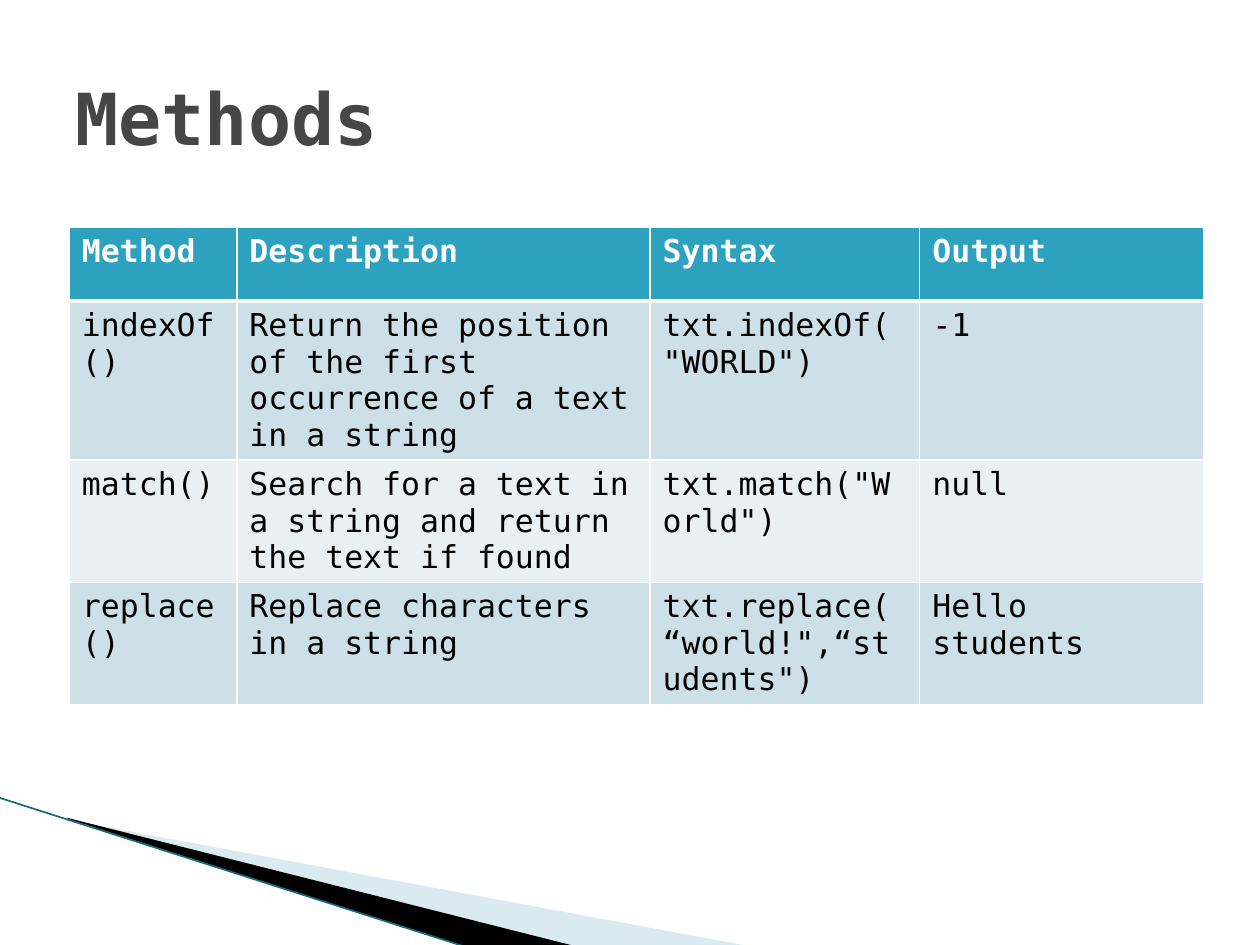
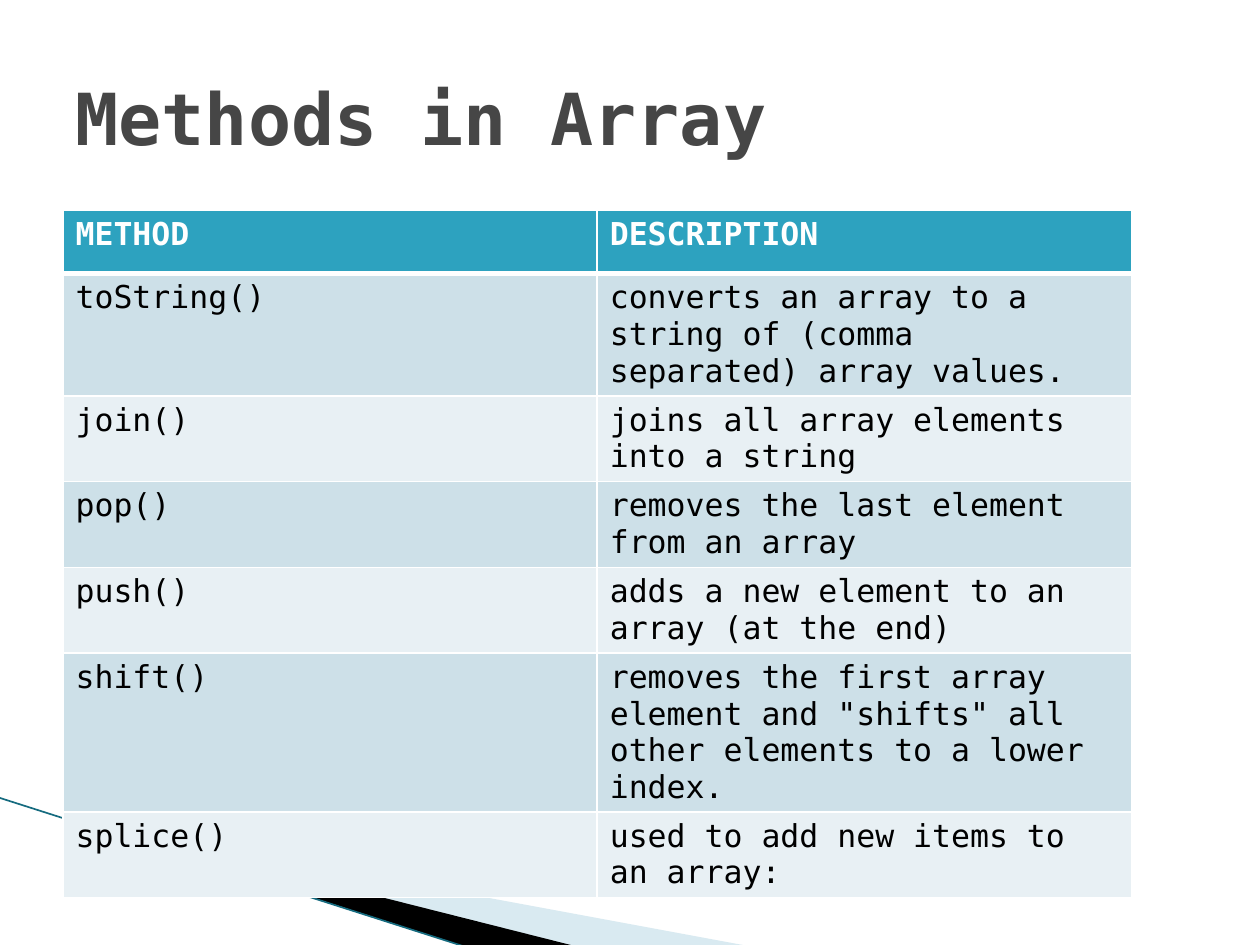
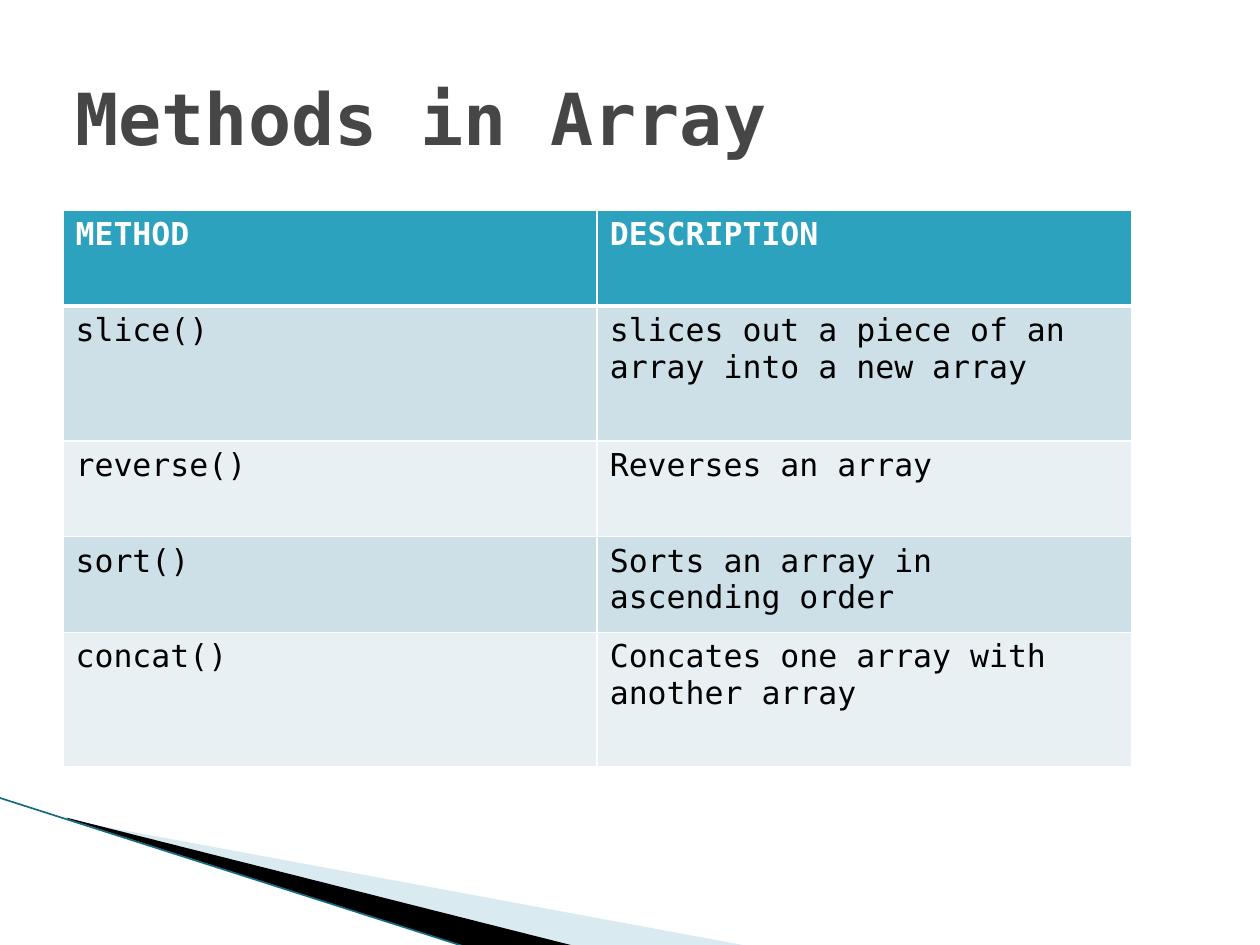
import pptx
import pptx.dml.color
import pptx.enum.shapes
import pptx.enum.text
import pptx.oxml
import pptx.oxml.ns
import pptx.util
from pptx.util import Inches

FONT = "DejaVu Sans Mono"
WHITE, BLACK = "FFFFFF", "000000"
TITLE_GREY = "464646"
HEADER_FILL = "2DA2BF"
BAND_FILLS = ("CDE0E8", "E8F0F4")
WEDGE_BLUE, EDGE_TEAL = "A0CBDC", "156B7F"
NS = pptx.oxml.ns.nsdecls("a")

METHODS = [
    ("Method", "Description", "Syntax", "Output"),
    ("indexOf()", "Return the position of the first occurrence of a text in a string",
     'txt.indexOf("WORLD")', "-1"),
    ("match()", "Search for a text in a string and return the text if found",
     'txt.match("World")', "null"),
    ("replace()", "Replace characters in a string",
     'txt.replace(“world!",“students")', "Hello students"),
]
ARRAY_HEADER = ("METHOD", "DESCRIPTION")
ARRAY_EDITING = [
    ARRAY_HEADER,
    ("toString()", "converts an array to a string of (comma separated) array values."),
    ("join()", "joins all array elements into a string"),
    ("pop()", "removes the last element from an array"),
    ("push()", "adds a new element to an array (at the end)"),
    ("shift()", 'removes the first array element and "shifts" all other elements '
                "to a lower index."),
    ("splice()", "used to add new items to an array:"),
]
ARRAY_ORDERING = [
    ARRAY_HEADER,
    ("slice()", "slices out a piece of an array into a new array"),
    ("reverse()", "Reverses an array"),
    ("sort()", "Sorts an array in ascending order"),
    ("concat()", "Concates one array with another array"),
]
ARRAY_COLS = (4.24, 4.24)


def rgb(color):
    return pptx.dml.color.RGBColor.from_string(color)


def add_run(p, text, size, color, bold=False):
    r = p.add_run()
    r.text = text
    r.font.name = FONT
    r.font.size = pptx.util.Pt(size)
    r.font.bold = bold
    r.font.color.rgb = rgb(color)


def set_frame(wedge, left, top, width, height):
    """Give the outline a frame of its own; its points stay where they are on the slide."""
    dx, dy = wedge.left - Inches(left), wedge.top - Inches(top)
    outline = next(wedge._element.iter(pptx.oxml.ns.qn("a:path")))
    for pt in outline.iter(pptx.oxml.ns.qn("a:pt")):
        pt.set("x", str(int(pt.get("x")) + dx))
        pt.set("y", str(int(pt.get("y")) + dy))
    outline.set("w", str(Inches(width)))
    outline.set("h", str(Inches(height)))
    wedge.left, wedge.top = Inches(left), Inches(top)
    wedge.width, wedge.height = Inches(width), Inches(height)


def add_wedge(s, frame, points, color, alpha=100):
    corners = [(Inches(x), Inches(y)) for x, y in points]
    builder = s.shapes.build_freeform(*corners[0])
    builder.add_line_segments(corners[1:], close=True)
    wedge = builder.convert_to_shape()
    set_frame(wedge, *frame)
    wedge.shadow.inherit = False
    wedge.line.fill.background()
    wedge.fill.solid()
    wedge.fill.fore_color.rgb = rgb(color)
    if alpha < 100:
        clr = next(wedge._element.spPr.iter(pptx.oxml.ns.qn("a:srgbClr")))
        clr.append(pptx.oxml.parse_xml(f'<a:alpha {NS} val="{alpha * 1000}"/>'))


def add_corner(s):
    """Pointed bands in the lower left corner."""
    add_wedge(s, (0.78, 5.47, 4.16, 1.58),
              [(0.55, 6.51), (5.95, 7.51), (4.56, 7.51), (0.55, 6.5)], WEDGE_BLUE, 40)
    add_wedge(s, (-0.06, 6.33, 4.16, 0.92),
              [(0.53, 6.49), (4.57, 7.51), (3.72, 7.52), (0.54, 6.5)], BLACK)
    edge = s.shapes.add_connector(
        pptx.enum.shapes.MSO_CONNECTOR.STRAIGHT,
        Inches(-0.01), Inches(6.33), Inches(3.71), Inches(7.52))
    edge.line.color.rgb = rgb(EDGE_TEAL)
    edge.line.width = pptx.util.Pt(0.95)
    edge._element.spPr.append(pptx.oxml.parse_xml(f"<a:effectLst {NS}/>"))


def add_title(s, text):
    box = s.shapes.add_textbox(Inches(0.5), Inches(0.3), Inches(9), Inches(1.25))
    tf = box.text_frame
    tf.word_wrap = True
    tf.vertical_anchor = pptx.enum.text.MSO_ANCHOR.MIDDLE
    add_run(tf.paragraphs[0], text, 41, TITLE_GREY, bold=True)


def set_borders(cell, top, bottom):
    tc_pr = cell._tc.get_or_add_tcPr()
    for side, points in (("L", 1), ("R", 1), ("T", top), ("B", bottom)):
        tc_pr.append(pptx.oxml.parse_xml(
            f'<a:ln{side} {NS} w="{pptx.util.Pt(points)}">'
            f'<a:solidFill><a:srgbClr val="{WHITE}"/></a:solidFill></a:ln{side}>'))


def add_method_table(s, left, top, cols, heights, rows):
    frame = s.shapes.add_table(len(rows), len(cols), Inches(left), Inches(top),
                               Inches(sum(cols)), Inches(sum(heights)))
    table = frame.table
    for column, width in zip(table.columns, cols):
        column.width = Inches(width)
    for i, (row, height, texts) in enumerate(zip(table.rows, heights, rows)):
        row.height = Inches(height)
        header = i == 0
        for cell, text in zip(row.cells, texts):
            # The rule under the header is thicker than the others
            set_borders(cell, top=3 if i == 1 else 1, bottom=3 if header else 1)
            cell.fill.solid()
            cell.fill.fore_color.rgb = rgb(HEADER_FILL if header else BAND_FILLS[(i - 1) % 2])
            add_run(cell.text_frame.paragraphs[0], text, 18,
                    WHITE if header else BLACK, bold=header)


def add_table_slide(prs, title, left, top, cols, heights, rows):
    s = prs.slides.add_slide(prs.slide_layouts[6])
    add_corner(s)
    add_method_table(s, left, top, cols, heights, rows)
    add_title(s, title)


def main():
    prs = pptx.Presentation()
    prs.slide_width, prs.slide_height = Inches(10), Inches(7.5)

    # String methods
    add_table_slide(prs, "Methods", 0.55, 1.8, (1.33, 3.28, 2.14, 2.25),
                    [0.59] * len(METHODS), METHODS)
    # Array methods, over two slides
    add_table_slide(prs, "Methods in Array", 0.5, 1.67, ARRAY_COLS,
                    [0.5] * len(ARRAY_EDITING), ARRAY_EDITING)
    add_table_slide(prs, "Methods in Array", 0.5, 1.67, ARRAY_COLS,
                    [0.76, 1.07, 0.76, 0.76, 1.07], ARRAY_ORDERING)

    prs.save("out.pptx")


main()
